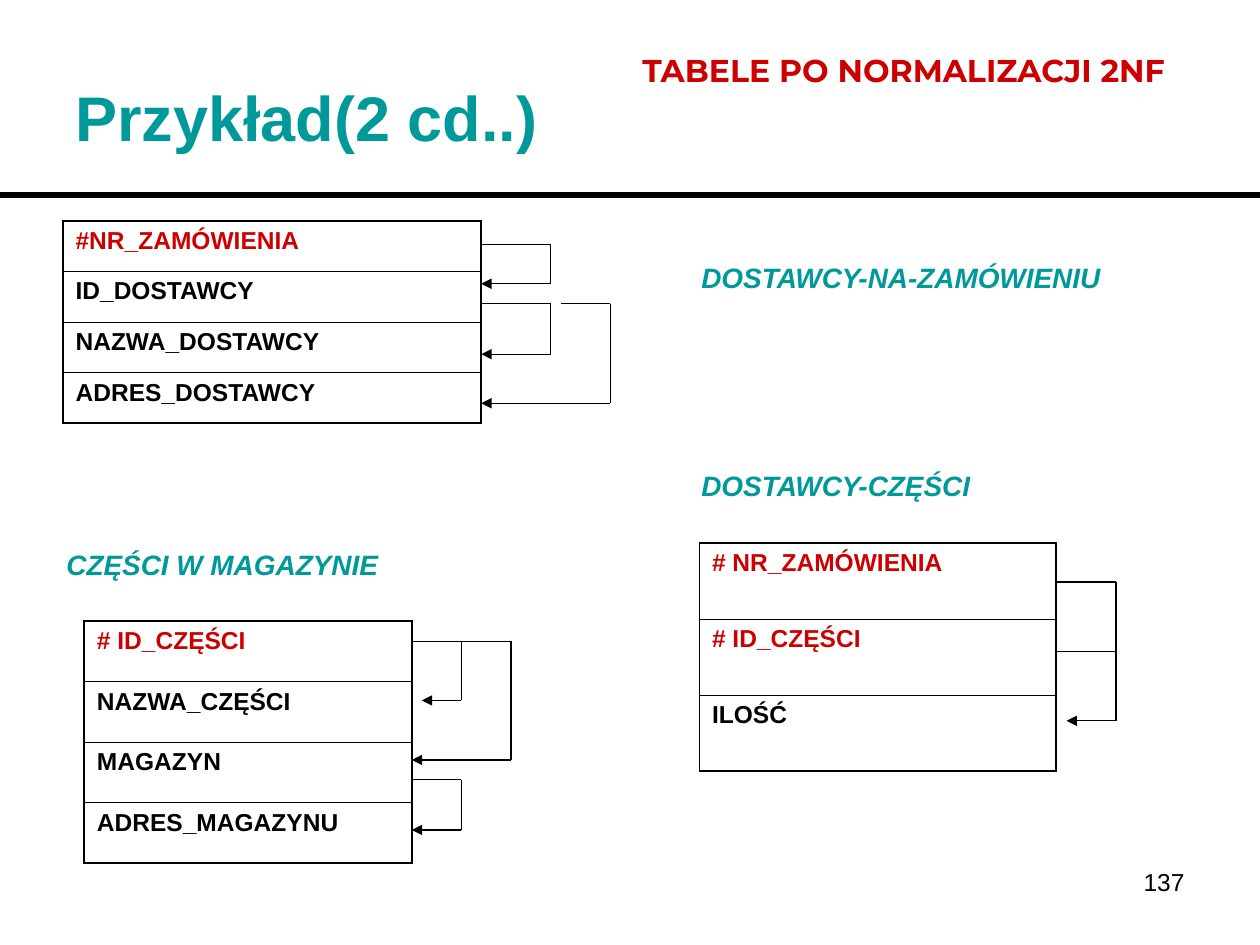
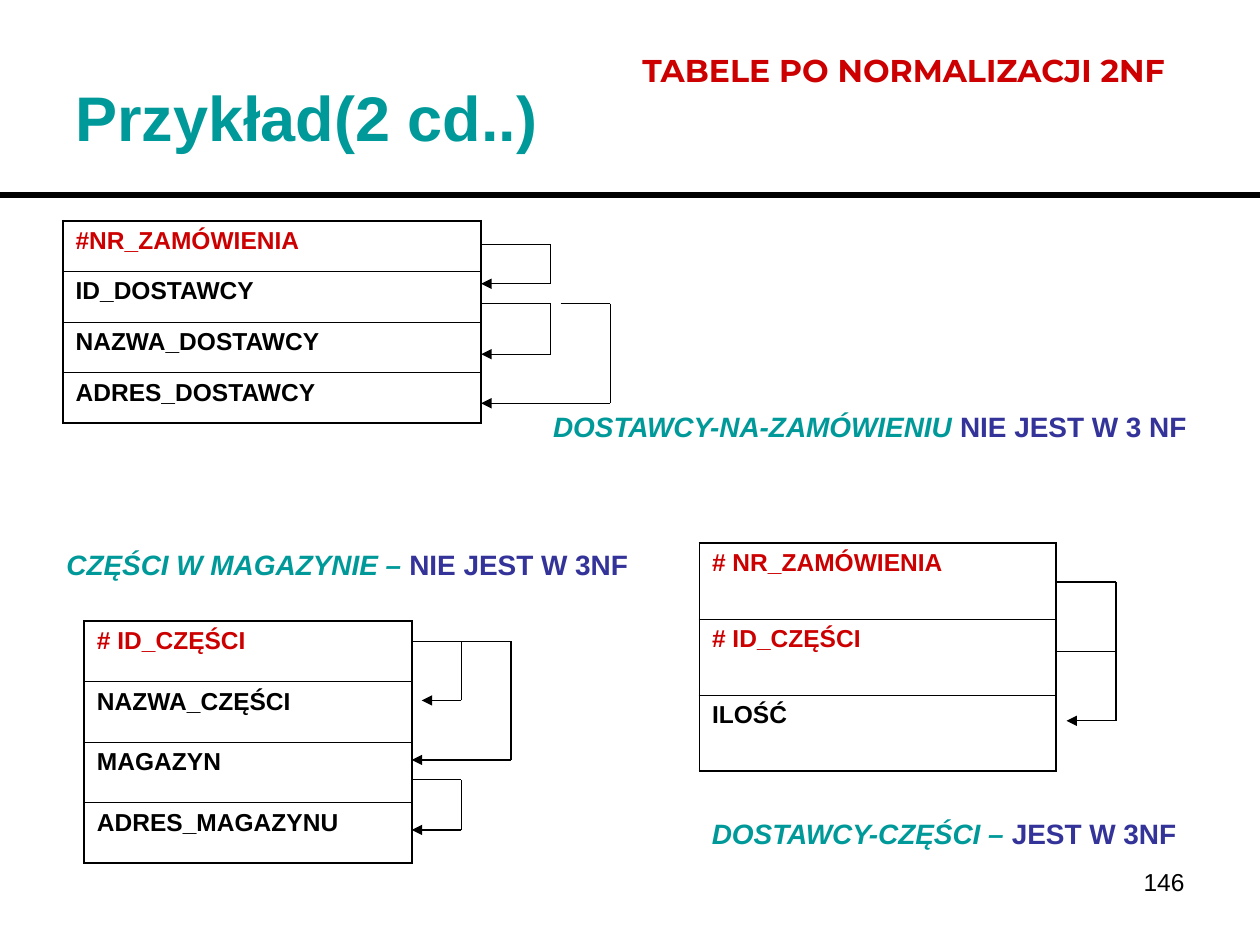
import pptx
import pptx.util
import pptx.dml.color
import pptx.enum.shapes
import pptx.enum.text
import pptx.oxml.ns
import lxml.etree

Cm, Pt = pptx.util.Cm, pptx.util.Pt
qn = pptx.oxml.ns.qn
ANCHOR = pptx.enum.text.MSO_ANCHOR
ALIGN = pptx.enum.text.PP_ALIGN
FIT = pptx.enum.text.MSO_AUTO_SIZE

COLORS = {"teal": "009999", "red": "CC0000", "black": "000000", "blue": "333399"}
FONTS = {
    "title": dict(name="Arial", size=Pt(36), bold=True),
    "head": dict(name="Montserrat", size=Pt(18), bold=True),
    "label": dict(name="Arial", size=Pt(16), bold=True, italic=True),
    "note": dict(name="Arial", size=Pt(16), bold=True, italic=False),
    "cell": dict(name="Arial", size=Pt(14), bold=True),
    "page": dict(name="Arial", size=Pt(14), bold=False),
}
THIN, THICK, WIRE, RULE = 0.45, 1.08, 0.74, 3


class Deck:
    def __init__(self):
        self.prs = pptx.Presentation()
        self.prs.slide_width, self.prs.slide_height = Cm(25.4), Cm(19.05)
        self.slide = None

    def start(self):
        self.slide = self.prs.slides.add_slide(self.prs.slide_layouts[6])

    def fill(self, para, runs, space=0):
        """Fill a paragraph with (text, font, color) runs."""
        para.space_before = Pt(space)
        for text, font, color in runs:
            run = para.add_run()
            run.text = text
            for key, value in FONTS[font].items():
                setattr(run.font, key, value)
            run.font.color.rgb = pptx.dml.color.RGBColor.from_string(COLORS[color])

    def text(self, box, runs, space=0, align=ALIGN.LEFT, **frame):
        shape = self.slide.shapes.add_textbox(*map(Cm, box))
        body = shape.text_frame
        for key, value in dict(word_wrap=True, **frame).items():
            setattr(body, key, value)
        body.paragraphs[0].alignment = align
        self.fill(body.paragraphs[0], runs, space)

    def line(self, start, end, width=WIRE, arrow=False):
        wire = self.slide.shapes.add_connector(
            pptx.enum.shapes.MSO_CONNECTOR.STRAIGHT, *map(Cm, (*start, *end)))
        wire.line.width = Pt(width)
        wire.line.color.rgb = pptx.dml.color.RGBColor.from_string(COLORS["black"])
        props = wire.element.spPr
        if arrow:
            lxml.etree.SubElement(props.find(qn("a:ln")), qn("a:tailEnd"), type="triangle")
        lxml.etree.SubElement(props, qn("a:effectLst"))

    def link(self, left, top, side, low, end):
        """Run from a row out to the side, down, and back with an arrow."""
        if left != side:
            self.line((left, top), (side, top))
        self.line((side, top), (side, low))
        self.line((side, low), (end, low), arrow=True)

    def edge(self, cell, sides):
        props = cell._tc.get_or_add_tcPr()
        for spot, (side, width) in enumerate(sides.items()):
            line = lxml.etree.Element(qn("a:ln" + side), w=str(int(Pt(width))))
            paint = lxml.etree.SubElement(line, qn("a:solidFill"))
            lxml.etree.SubElement(paint, qn("a:srgbClr"), val=COLORS["black"])
            props.insert(spot, line)

    def table(self, left, top, width, row, names):
        count = len(names)
        grid = self.slide.shapes.add_table(
            count, 1, Cm(left), Cm(top), Cm(width), Cm(row * count)).table
        grid.first_row = grid.horz_banding = False
        for num, name in enumerate(names):
            cell = grid.cell(num, 0)
            cell.fill.background()
            # Key fields start with a hash sign
            color = "red" if name.startswith("#") else "black"
            self.fill(cell.text_frame.paragraphs[0], [(name, "cell", color)], 3.5)
            self.edge(cell, {"L": THICK, "R": THICK,
                             "T": THIN if num else THICK,
                             "B": THICK if num == count - 1 else THIN})

    def label(self, left, top, width, name, note=""):
        runs = [(name, "label", "teal")]
        if note:
            runs.append((note, "note", "blue"))
        self.text((left, top, width, 0.94), runs, 10, auto_size=FIT.SHAPE_TO_FIT_TEXT)

    def base(self, page):
        """Draw all that both slides share."""
        # Title, rule, heading and page number
        self.text((1.27, 0.76, 22.86, 3.18), [("Przykład(2 cd..)", "title", "teal")],
                  vertical_anchor=ANCHOR.MIDDLE)
        self.line((0, 3.93), (25.4, 3.93), RULE)
        self.text((12.7, 0.91, 11.4, 1.02),
                  [("TABELE PO NORMALIZACJI 2NF", "head", "red")], 11.2,
                  auto_size=FIT.SHAPE_TO_FIT_TEXT)
        self.text((18.21, 17.35, 5.92, 1.32), [(page, "page", "black")], align=ALIGN.RIGHT)

        # Tables
        self.table(1.27, 4.45, 8.43, 1.02,
                   ["#NR_ZAMÓWIENIA", "ID_DOSTAWCY", "NAZWA_DOSTAWCY", "ADRES_DOSTAWCY"])
        self.table(1.7, 12.52, 6.6, 1.22,
                   ["# ID_CZĘŚCI", "NAZWA_CZĘŚCI", "MAGAZYN", "ADRES_MAGAZYNU"])
        self.table(14.1, 10.95, 7.19, 1.53, ["# NR_ZAMÓWIENIA", "# ID_CZĘŚCI", "ILOŚĆ"])

        # Links between fields: left, top, side, low, end
        for route in [
            (9.7, 4.93, 11.1, 5.72, 9.7),
            (9.7, 6.12, 11.1, 7.14, 9.7),
            (11.3, 6.12, 12.3, 8.13, 9.7),
            (8.3, 12.93, 10.3, 15.32, 8.3),
            (9.3, 12.93, 9.3, 14.12, 8.5),
            (8.3, 15.72, 9.3, 16.73, 8.3),
            (21.3, 11.73, 22.5, 14.53, 21.5),
        ]:
            self.link(*route)
        self.line((21.3, 13.13), (22.5, 13.13))


deck = Deck()

# Slide 1: tables in 2NF
deck.start()
deck.base("137")
deck.label(1.09, 10.92, 8.41, "CZĘŚCI W MAGAZYNIE")
deck.label(13.89, 9.32, 8.2, "DOSTAWCY-CZĘŚCI")
deck.label(13.89, 5.13, 10, "DOSTAWCY-NA-ZAMÓWIENIU")

# Slide 2: the same tables checked for 3NF
deck.start()
deck.base("146")
deck.label(1.09, 10.92, 12, "CZĘŚCI W MAGAZYNIE – ", "NIE JEST W 3NF")
deck.label(14.1, 16.33, 10.8, "DOSTAWCY-CZĘŚCI – ", "JEST W 3NF")
deck.label(10.9, 8.13, 13.7, "DOSTAWCY-NA-ZAMÓWIENIU ", "NIE JEST W 3 NF")

deck.prs.save("out.pptx")
